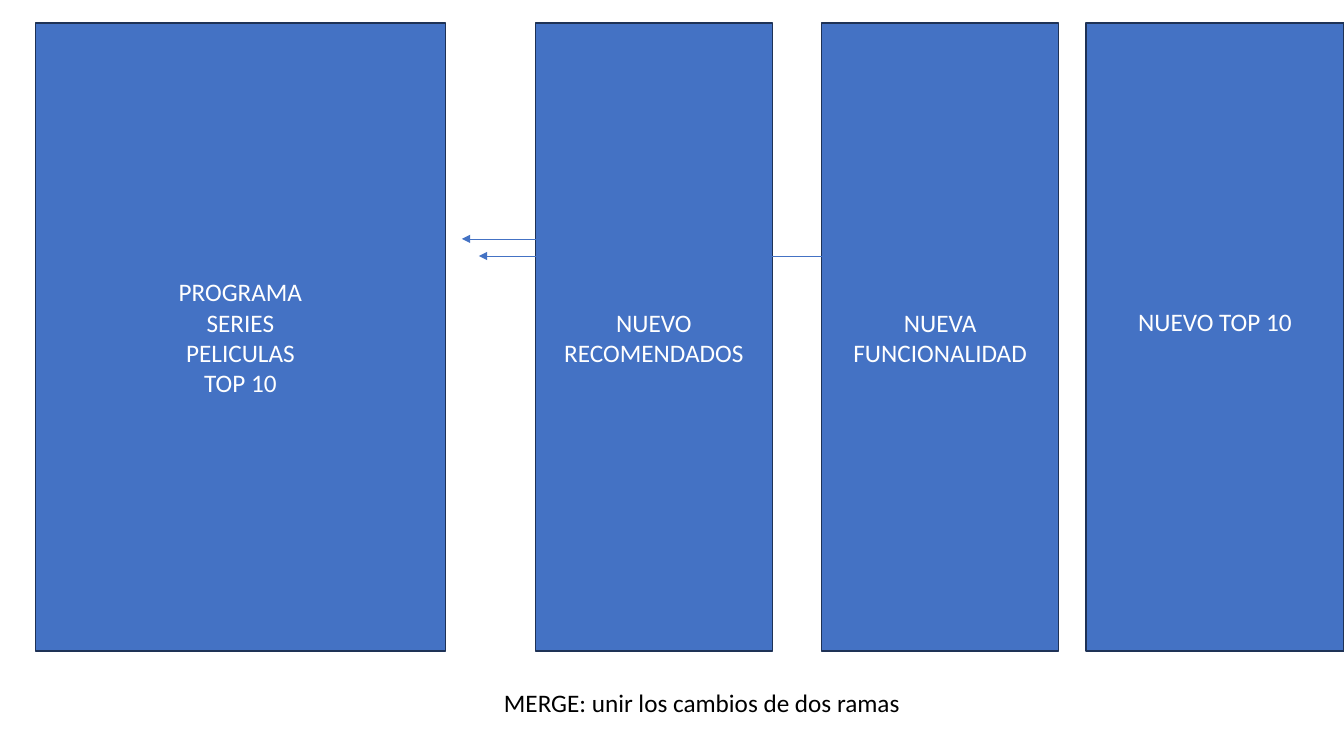
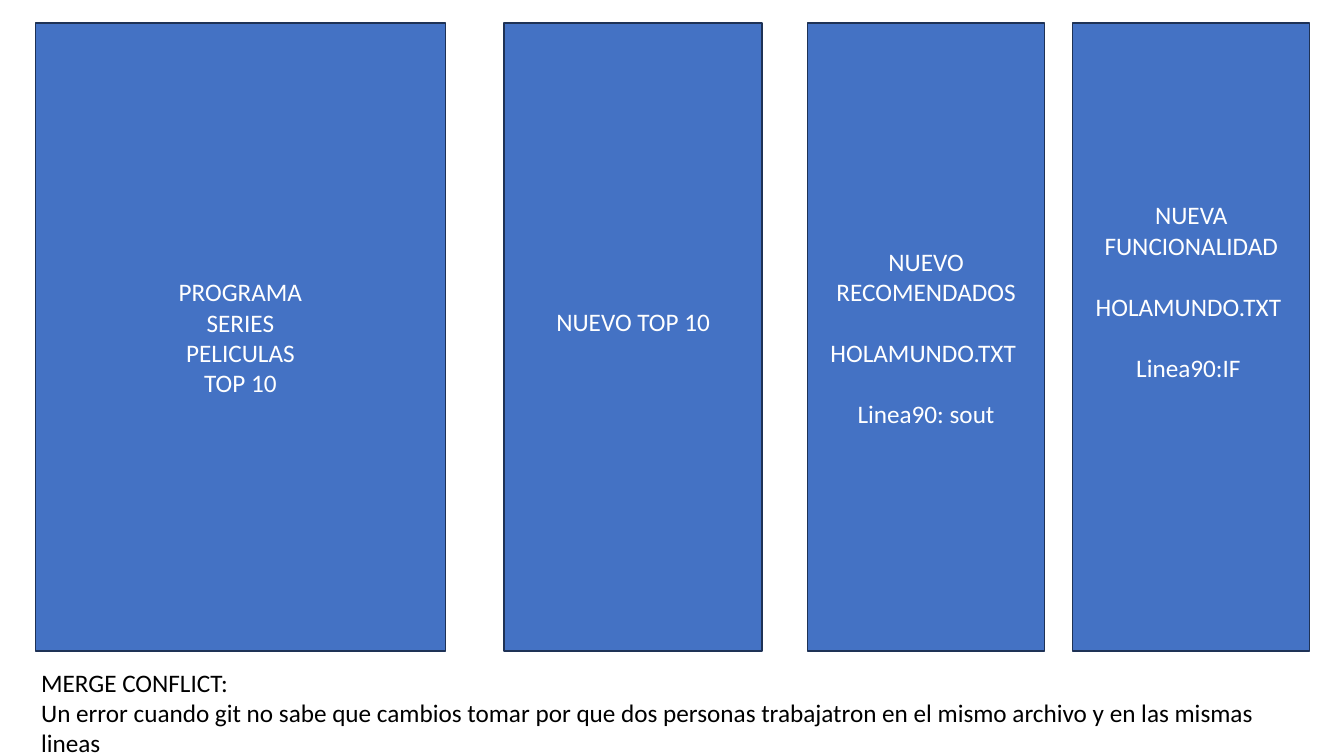
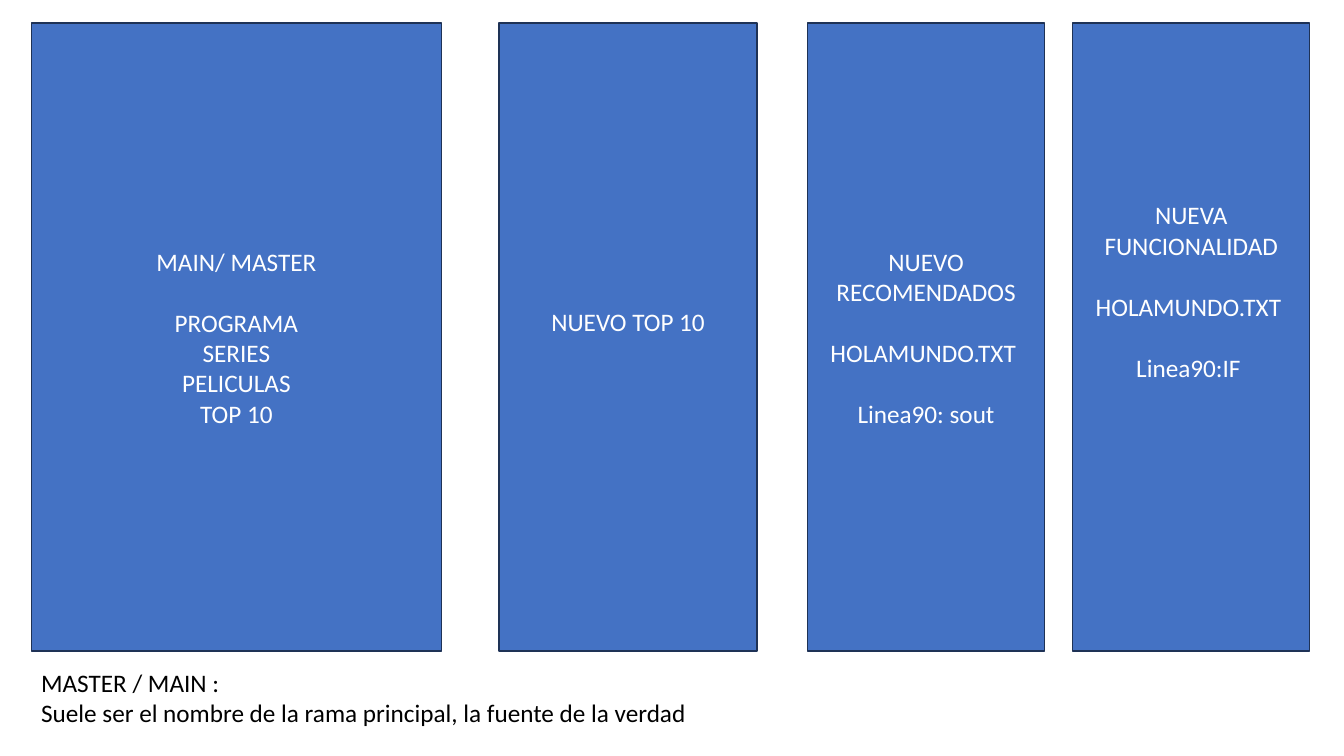
from lxml.etree import SubElement
from pptx import Presentation
from pptx.dml.color import RGBColor
from pptx.enum.shapes import MSO_CONNECTOR as CONN, MSO_SHAPE as SHAPE
from pptx.enum.text import MSO_ANCHOR as ANCHOR, MSO_AUTO_SIZE as AUTO, PP_ALIGN as ALIGN
from pptx.oxml.ns import qn
from pptx.util import Emu, Pt


def px(n):
    return Emu(n * 9144)  # 100 px to the inch


def rgb(color):
    return RGBColor.from_string(color)


class Deck:
    FONT, SIZE, LINE = "Calibri", Pt(18), Pt(22)
    BLUE, EDGE, WHITE, BLACK = "4472C4", "1E3256", "FFFFFF", "000000"
    TOP, HEIGHT, INSET = 23, 623, 5

    def __init__(self):
        self.prs = Presentation()
        self.prs.slide_width, self.prs.slide_height = px(1333), px(750)
        self.s = None

    def slide(self):
        self.s = self.prs.slides.add_slide(self.prs.slide_layouts[6])

    def add_text(self, tf, groups, color, align):
        """One paragraph per line, with one line of space between groups."""
        p = None
        for g, group in enumerate(groups):
            for i, text in enumerate(group):
                p = tf.add_paragraph() if p is not None else tf.paragraphs[0]
                p.alignment = align
                if g and i == 0:
                    p.space_before = self.LINE
                r = p.add_run()
                r.text = text
                r.font.name, r.font.size = self.FONT, self.SIZE
                r.font.color.rgb = rgb(color)

    def branch(self, x, w, *groups, raised=0):
        """Full-height panel; raised is the number of lines kept free below its text."""
        sp = self.s.shapes.add_shape(SHAPE.RECTANGLE, px(x), px(self.TOP), px(w), px(self.HEIGHT))
        sp.shadow.inherit = False
        sp.fill.solid()
        sp.fill.fore_color.rgb = rgb(self.BLUE)
        sp.line.color.rgb = rgb(self.EDGE)
        sp.line.width = Pt(1)
        tf = sp.text_frame
        tf.word_wrap = True
        tf.vertical_anchor = ANCHOR.MIDDLE
        tf.margin_bottom = px(self.INSET) + raised * self.LINE
        self.add_text(tf, groups, self.WHITE, ALIGN.CENTER)

    def arrow(self, x1, x2, y):
        c = self.s.shapes.add_connector(CONN.STRAIGHT, px(x1), px(y), px(x2), px(y))
        c.line.color.rgb = rgb(self.BLUE)
        c.line.width = Pt(0.5)
        props = c._element.spPr
        SubElement(props.find(qn("a:ln")), qn("a:tailEnd"), type="triangle")
        SubElement(props, qn("a:effectLst"))

    def note(self, x, y, w, h, *lines, wrap=True):
        tf = self.s.shapes.add_textbox(px(x), px(y), px(w), px(h)).text_frame
        tf.word_wrap = wrap
        tf.auto_size = AUTO.SHAPE_TO_FIT_TEXT
        self.add_text(tf, [lines], self.BLACK, ALIGN.LEFT)


MAIN_W, TOP10_W, BRANCH_W = 407, 256, 235
PROGRAM = ["PROGRAMA", "SERIES", "PELICULAS", "TOP 10"]
TOP10, RECOMMENDED, FEATURE = ["NUEVO TOP 10"], ["NUEVO RECOMENDADOS"], ["NUEVA FUNCIONALIDAD"]
FILE = ["HOLAMUNDO.TXT "]


def conflicting_branches(d):
    d.branch(801, BRANCH_W, RECOMMENDED, FILE, ["Linea90: sout"])
    d.branch(1064, BRANCH_W, FEATURE, FILE, ["Linea90:IF "], raised=3)


def main():
    d = Deck()

    # Merge
    d.slide()
    d.branch(35, MAIN_W, PROGRAM)
    d.branch(1077, TOP10_W, TOP10, raised=1)
    d.branch(531, BRANCH_W, RECOMMENDED)
    d.branch(815, BRANCH_W, FEATURE)
    d.arrow(648, 458, 237)
    d.arrow(832, 475, 254)
    d.note(490, 677, 417, 40, "MERGE: unir los cambios de dos ramas", wrap=False)

    # Merge conflict
    d.slide()
    d.branch(35, MAIN_W, PROGRAM)
    d.branch(500, TOP10_W, TOP10, raised=1)
    conflicting_branches(d)
    d.note(31, 657, 1283, 101, "MERGE CONFLICT:",
           "Un error cuando git no sabe que cambios tomar por que dos personas "
           "trabajatron en el mismo archivo y en las mismas lineas")

    # Main branch
    d.slide()
    d.branch(31, MAIN_W, ["MAIN/ MASTER"], PROGRAM)
    d.branch(495, TOP10_W, TOP10, raised=1)
    conflicting_branches(d)
    d.note(31, 657, 1283, 71, "MASTER / MAIN :",
           "Suele ser el nombre de la rama principal, la fuente de la verdad")

    d.prs.save("out.pptx")


if __name__ == "__main__":
    main()
